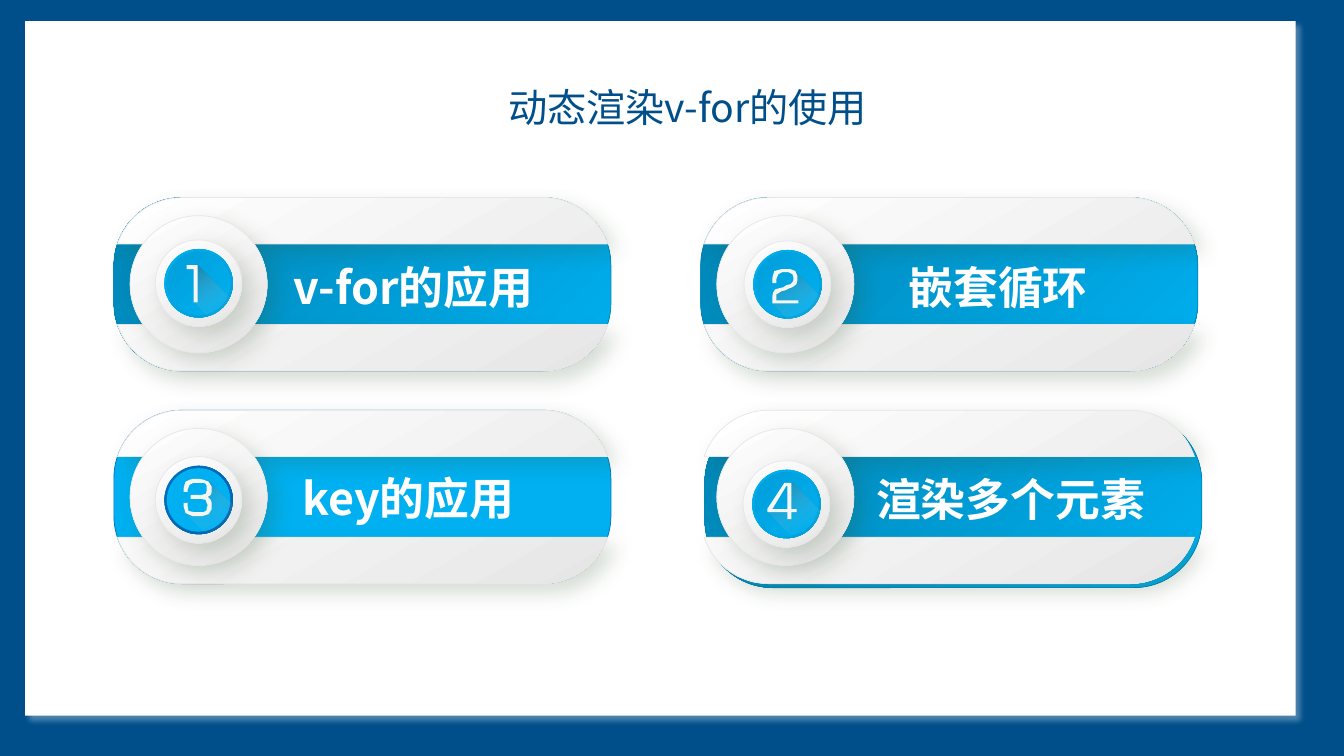
from math import asin, cos, pi, sin

from lxml import etree
from pptx import Presentation
from pptx.dml.color import RGBColor
from pptx.enum.shapes import MSO_SHAPE
from pptx.enum.text import MSO_ANCHOR, PP_ALIGN
from pptx.oxml.ns import qn
from pptx.util import Inches, Pt

RECT, ROUND, OVAL = MSO_SHAPE.RECTANGLE, MSO_SHAPE.ROUNDED_RECTANGLE, MSO_SHAPE.OVAL
TOP, MIDDLE = MSO_ANCHOR.TOP, MSO_ANCHOR.MIDDLE
CENTER, JUSTIFY = PP_ALIGN.CENTER, PP_ALIGN.JUSTIFY

NAVY, WHITE, IVORY, SKY, DEEP = "004F8A", "FFFFFF", "F6F6F0", "00B0F0", "0084B4"
PEARL = (WHITE, "E7E6E6", 60)
SOFT = ("32522C", 20, 15, 8, 45)
RAISED = {"fill": PEARL, "edge": ("E7E6E6", 0.5), "shade": SOFT}
BLUE = {"bar": (SKY, DEEP, 225), "rim": DEEP, "ring": (SKY, "009ED8", 45),
        "face": ("009ED8", SKY, 45), "shift": 0}
FLAT = {**BLUE, "bar": SKY, "rim": "0070C0", "ring": ("0070C0", "0065AD", 45), "face": SKY}

CARD_W, CARD_H, BEND, STRIPE = 4.93, 1.72, 0.391, (0.46, 1.26)

DIGITS = {
    1: ["38,62 38,29 31,29 31,25 42,25 42,62"],
    2: ["28,62 28,55 29,51 31,48 35,47 39,46 42,44 46,43 48,41 49,39 49,36 48,33 44,31 "
        "38,31 34,33 32,38 32,42 28,42 28,37 30,30 37,28 41,28 46,28 51,30 53,35 53,39 "
        "52,43 48,46 45,47 41,49 37,50 34,52 32,53 32,55 32,59 54,59 54,62"],
    3: ["56,46 56,52 53,57 47,59 37,59 30,56 28,49 28,46 32,46 32,49 33,54 38,55 48,55 "
        "50,54 51,53 51,51 52,48 51,46 50,43 46,42 35,42 35,38 46,38 50,37 51,34 51,29 "
        "50,27 48,26 38,26 34,28 32,33 32,35 28,35 28,32 29,28 30,25 34,23 38,22 43,22 "
        "48,23 53,25 56,30 56,35 55,38 52,40 55,43"],
    4: ["48,51 48,58 44,58 44,51 24,51 24,48 41,22 48,22 48,48 53,48 53,51",
        "44,25 43,25 29,48 44,48"],
}
CASTS = {
    1: ["42,25 39,62 61,86 82,65"],
    2: ["51,30 49,43 31,51 29,61 28,62 55,90 83,62"],
    3: ["53,25 52,26 52,37 50,40 53,48 52,55 42,57 30,55 30,56 55,82 83,54"],
    4: ["49,22 46,23 47,26 47,50 26,50 24,51 53,80 80,53"],
}
CARDS = [
    (1, "v-for的应用", (1.65, 0.56, 2.9, 0.65), (0.41, 0.42), BLUE),
    (2, "嵌套循环", (1.93, 0.56, 2.27, 0.65), (0.43, 0.43), {**BLUE, "bar": (DEEP, SKY, 45)}),
    (3, "key的应用", (1.74, 0.54, 2.49, 0.65), (0.41, 0.46), FLAT),
    (4, "渲染多个元素", (1.61, 0.55, 3.29, 0.65), (0.42, 0.5), {**BLUE, "shift": 0.04}),
]


def color(hex):
    """Turn a hex string into a colour."""
    return RGBColor.from_string(hex)


def paint(fill, ink):
    """Fill with one colour or with a (start, end, angle) gradient."""
    if isinstance(ink, str):
        fill.solid()
        fill.fore_color.rgb = color(ink)
        return
    fill.gradient()
    fill.gradient_angle = 360 - ink[2]
    for stop, hex in zip(fill.gradient_stops, ink):
        stop.color.rgb = color(hex)


def fade(node, share):
    """Give a colour element an opacity in percent."""
    etree.SubElement(node, qn("a:alpha"), val=str(share * 1000))


def dress(shape, fill, edge=None, shade=None):
    """Set fill, line and shadow of a shape."""
    shape.shadow.inherit = False
    paint(shape.fill, fill)
    if edge:
        shape.line.color.rgb = color(edge[0])
        shape.line.width = Pt(edge[1])
    else:
        shape.line.fill.background()
    if shade:
        hue, share, blur, dist, angle = shade
        glow = etree.SubElement(
            shape._element.spPr.find(qn("a:effectLst")), qn("a:outerShdw"),
            blurRad=str(Pt(blur)), dist=str(Pt(dist)), dir=str(angle * 60000),
            algn="ctr", rotWithShape="0")
        fade(etree.SubElement(glow, qn("a:srgbClr"), val=hue), share)
    return shape


def block(slide, kind, box, **look):
    """Add a preset shape in a box."""
    return dress(slide.shapes.add_shape(kind, *map(Inches, box)), **look)


def trace(slide, left, top, loops, **look):
    """Add an outline of closed loops, in inches from left and top."""
    loops = [[(x * 1000, y * 1000) for x, y in loop] for loop in loops]
    pen = slide.shapes.build_freeform(*loops[0][0], scale=Inches(1) / 1000)
    for loop in loops:
        pen.move_to(*loop[0])
        pen.add_line_segments(loop[1:], close=True)
    return dress(pen.convert_to_shape(Inches(left), Inches(top)), **look)


def glyph(parts):
    """Read loops from strings of points in hundredths of an inch."""
    return [[tuple(int(n) / 100 for n in pair.split(",")) for pair in part.split()]
            for part in parts]


def write(shape, text, size, font, hue, align, anchor, pad, bold=False):
    """Put one formatted line of text in a shape."""
    frame = shape.text_frame
    sides = {"margin_left": pad[0], "margin_right": pad[0],
             "margin_top": pad[1], "margin_bottom": pad[1]}
    for name, value in sides.items():
        setattr(frame, name, Inches(value))
    frame.word_wrap = True
    frame.vertical_anchor = anchor
    line = frame.paragraphs[0]
    line.alignment = align
    run = line.add_run()
    run.text = text
    for name, value in {"size": Pt(size), "name": font, "bold": bold}.items():
        setattr(run.font, name, value)
    run.font.color.rgb = color(hue)
    etree.SubElement(run._r.rPr, qn("a:ea"), typeface=font)


def caps():
    """Work out the top and bottom parts of a card around its stripe."""
    bend = BEND * CARD_H
    low = asin((STRIPE[1] - CARD_H + bend) / bend)
    turns = [low + (pi / 2 - low) * i / 16 for i in range(17)]
    curve = [(bend - bend * cos(t), CARD_H - bend + bend * sin(t)) for t in turns]
    base = curve + [(CARD_W - x, y) for x, y in reversed(curve)]
    return [base, [(x, CARD_H - y) for x, y in base]]


def badge(slide, left, top, digit, style):
    """Draw the numbered button with its long cast shadow."""
    for inset, ink in ((0.09, style["ring"]), (0.115, style["face"])):
        if inset == 0.09:
            block(slide, OVAL, (left, top, 0.86, 0.86), **RAISED)
        side = 0.86 - 2 * inset
        block(slide, OVAL, (left + inset, top + inset, side, side), fill=ink)
    cast = trace(slide, left, top, glyph(CASTS[digit]), fill=("3F3F3F", WHITE, 60))
    stops = cast.fill.gradient_stops
    stops[1].position = 0.76
    for node, share in zip(cast._element.spPr.iter(qn("a:srgbClr")), (40, 0)):
        fade(node, share)
    trace(slide, left, top, glyph(DIGITS[digit]), fill=IVORY, shade=(SKY, 40, 5, 0, 0))


def card(slide, left, top, digit, text, label, knob, style):
    """Draw one numbered topic card."""
    shift = style["shift"]
    bar = block(slide, ROUND, (left + shift, top + shift, CARD_W, CARD_H),
                fill=style["bar"], edge=(style["rim"], 0.5))
    bar.adjustments[0] = BEND
    trace(slide, left, top, caps(), **RAISED)
    block(slide, OVAL, (left + 0.16, top + 0.18, 1.36, 1.36), **RAISED)
    badge(slide, left + knob[0], top + knob[1], digit, style)
    x, y, wide, high = label
    box = slide.shapes.add_textbox(*map(Inches, (left + x, top + y, wide, high)))
    write(box, text, 32, "Noto Sans CJK SC", WHITE, JUSTIFY, MIDDLE, (0.13, 0.07), True)


def page(slide):
    """Draw the white page on its blue ground, with the title."""
    paint(slide.background.fill, NAVY)
    block(slide, RECT, (0.25, 0.21, 12.6, 6.89), fill=WHITE, shade=(WHITE, 30, 4, 5, 45))
    title = block(slide, RECT, (3.83, 0.78, 5.98, 1.04), fill=WHITE, edge=(WHITE, 1))
    write(title, "动态渲染v-for的使用", 28, "Noto Sans CJK JP", NAVY, CENTER, TOP, (0.1, 0.05))


def main():
    """Build the slide and save it."""
    deck = Presentation()
    deck.slide_width, deck.slide_height = Inches(13.33), Inches(7.5)
    slide = deck.slides.add_slide(deck.slide_layouts[6])
    page(slide)
    for i, parts in enumerate(CARDS):
        card(slide, 1.13 + i % 2 * 5.82, 1.96 + i // 2 * 2.11, *parts)
    deck.save("out.pptx")


if __name__ == "__main__":
    main()
